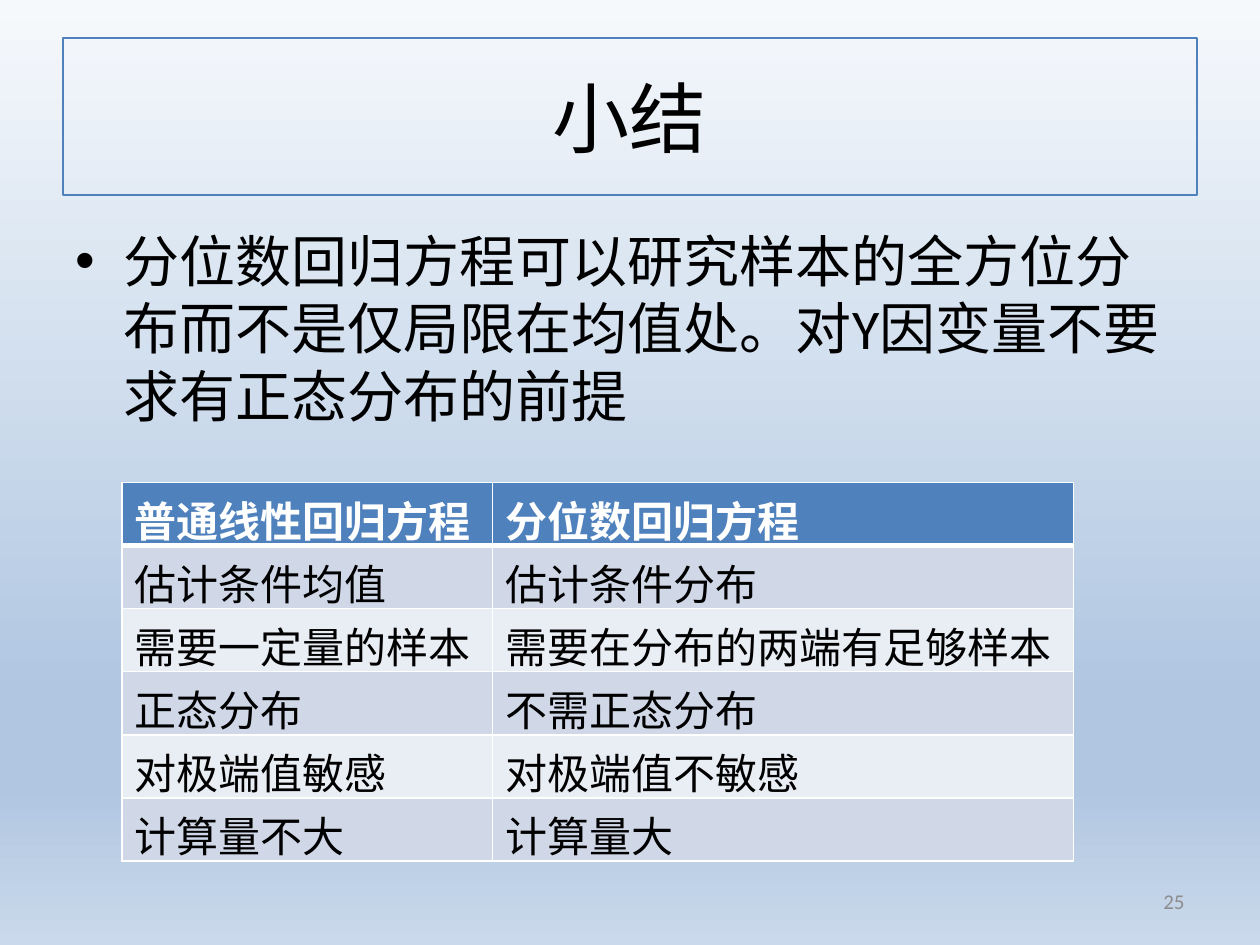
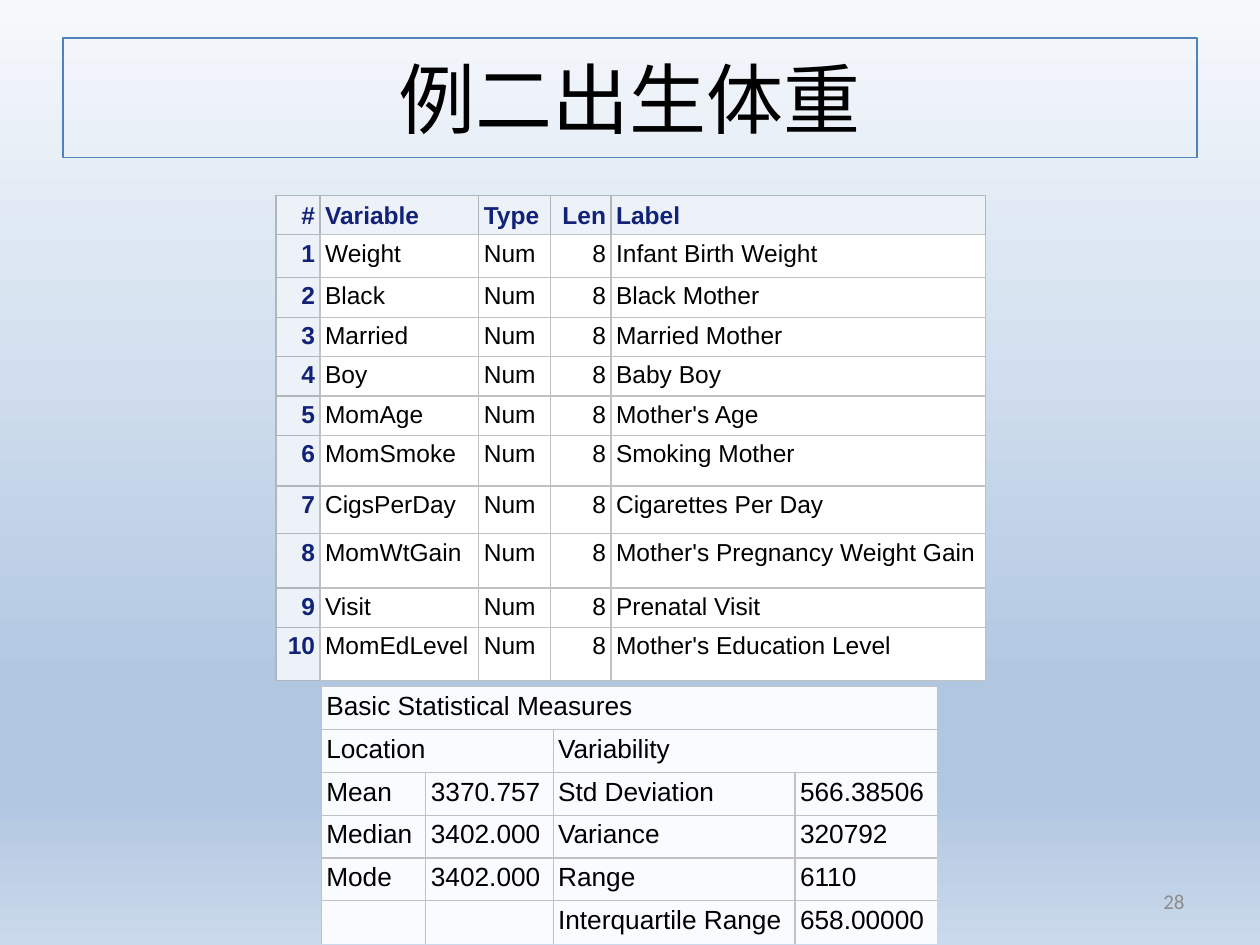
"""Build two slides on quantile regression: a summary and a birth-weight example."""
import dataclasses

import lxml.etree
import pptx
import pptx.dml.color
import pptx.enum.lang
import pptx.enum.shapes
import pptx.enum.text
import pptx.oxml.ns
import pptx.util

Inches = pptx.util.Inches
Pt = pptx.util.Pt
qn = pptx.oxml.ns.qn
ALIGN = pptx.enum.text.PP_ALIGN
ANCHOR = pptx.enum.text.MSO_ANCHOR
NO_TABLE_STYLE = "{2D5ABB26-0587-4C30-8999-92F81FD0307C}"


@dataclasses.dataclass(frozen=True)
class Theme:
    """Colours, fonts and type sizes of the deck."""
    backdrop: tuple = ((0, "F6F9FC"), (74, "B0C6E1"), (83, "B0C6E1"), (100, "CAD9EB"))
    accent: str = "4F81BD"
    ink: str = "000000"
    white: str = "FFFFFF"
    muted: str = "8C8C8C"
    bands: tuple = ("E9EDF4", "D0D8E8")
    head_ink: str = "112277"
    head_fill: str = "EDF2F9"
    head_rule: str = "B0B7BB"
    rule: str = "C1C1C1"
    measure_fill: str = "FAFBFE"
    main_font: str = "Calibri"
    data_font: str = "Arial"
    title_size: int = 44
    body_size: int = 32
    comparison_size: int = 24
    measure_size: int = 15
    variable_size: int = 14
    number_size: int = 12


THEME = Theme()

COMPARISON = [
    ("普通线性回归方程", "分位数回归方程"),
    ("估计条件均值", "估计条件分布"),
    ("需要一定量的样本", "需要在分布的两端有足够样本"),
    ("正态分布", "不需正态分布"),
    ("对极端值敏感", "对极端值不敏感"),
    ("计算量不大", "计算量大"),
]

VARIABLES = [
    ("Weight", "Infant Birth Weight"),
    ("Black", "Black Mother"),
    ("Married", "Married Mother"),
    ("Boy", "Baby Boy"),
    ("MomAge", "Mother's Age"),
    ("MomSmoke", "Smoking Mother"),
    ("CigsPerDay", "Cigarettes Per Day"),
    ("MomWtGain", "Mother's Pregnancy Weight Gain"),
    ("Visit", "Prenatal Visit"),
    ("MomEdLevel", "Mother's Education Level"),
]

MEASURES = [
    ("Basic Statistical Measures", None, None, None),
    ("Location", None, "Variability", None),
    ("Mean", "3370.757", "Std Deviation", "566.38506"),
    ("Median", "3402.000", "Variance", "320792"),
    ("Mode", "3402.000", "Range", "6110"),
    ("", "", "Interquartile Range", "658.00000"),
]


def rgb(code):
    """Turn a hex code into a colour."""
    return pptx.dml.color.RGBColor.from_string(code)


def write(frame, text, *, size, color=THEME.ink, font=THEME.main_font, bold=False,
          align=ALIGN.LEFT):
    """Write one formatted paragraph and return it."""
    paragraph = frame.paragraphs[0]
    paragraph.alignment = align
    if not text:
        lxml.etree.SubElement(paragraph._p, qn("a:endParaRPr"), sz=str(size * 100))
        return paragraph
    run = paragraph.add_run()
    run.text = text
    run.font.size = Pt(size)
    run.font.name = font
    run.font.bold = bold
    run.font.color.rgb = rgb(color)
    run.font.language_id = pptx.enum.lang.MSO_LANGUAGE_ID.SIMPLIFIED_CHINESE
    return paragraph


def paint_backdrop(master):
    """Give the master the vertical gradient that every slide shows."""
    fill = master.background.fill
    fill.gradient()
    fill.gradient_angle = 270
    stops = master.element.find(".//" + qn("p:bgPr")).find(".//" + qn("a:gsLst"))
    for stop in list(stops):
        stops.remove(stop)
    for position, color in THEME.backdrop:
        stop = lxml.etree.SubElement(stops, qn("a:gs"), pos=str(position * 1000))
        lxml.etree.SubElement(stop, qn("a:srgbClr"), val=color)


def add_title(slide, text, height):
    """Add the framed title across the top."""
    title = slide.shapes.add_shape(pptx.enum.shapes.MSO_SHAPE.RECTANGLE, Inches(0.5),
                                   Inches(0.3), Inches(9), Inches(height))
    title.shadow.inherit = False
    title.fill.background()
    title.line.color.rgb = rgb(THEME.accent)
    title.line.width = Pt(1)
    title.text_frame.word_wrap = True
    title.text_frame.vertical_anchor = ANCHOR.MIDDLE
    write(title.text_frame, text, size=THEME.title_size, align=ALIGN.CENTER)


def add_text_area(slide, left, top, width, height, anchor=ANCHOR.TOP):
    """Add an empty wrapping text box and return its frame."""
    frame = slide.shapes.add_textbox(Inches(left), Inches(top), Inches(width),
                                     Inches(height)).text_frame
    frame.word_wrap = True
    frame.vertical_anchor = anchor
    return frame


def add_bullet(slide, text):
    """Add the bulleted body statement."""
    frame = add_text_area(slide, 0.5, 1.75, 9, 4.95)
    paragraph = write(frame, text, size=THEME.body_size)
    paragraph.space_before = Pt(THEME.body_size * 0.2)
    properties = paragraph._p.get_or_add_pPr()
    indent = Inches(0.38)
    properties.set("marL", str(indent))
    properties.set("indent", str(-indent))
    lxml.etree.SubElement(properties, qn("a:buFont"), typeface="Arial")
    lxml.etree.SubElement(properties, qn("a:buChar"), char="•")


def add_slide_number(slide, number):
    """Add the page number at the lower right."""
    frame = add_text_area(slide, 7.17, 6.95, 2.33, 0.4, ANCHOR.MIDDLE)
    write(frame, str(number), size=THEME.number_size, color=THEME.muted, align=ALIGN.RIGHT)


def rule_cell(cell, borders):
    """Draw cell borders given as side: (colour, points)."""
    properties = cell._tc.get_or_add_tcPr()
    sides = [side for side in "LRTB" if side in borders]
    for place, side in enumerate(sides):
        color, width = borders[side]
        line = lxml.etree.Element(qn("a:ln" + side), w=str(Pt(width)))
        solid = lxml.etree.SubElement(line, qn("a:solidFill"))
        lxml.etree.SubElement(solid, qn("a:srgbClr"), val=color)
        properties.insert(place, line)


def add_grid(slide, left, top, widths, heights, rows, look, margin=None):
    """Add a table; None joins a cell to its left, look(row, column) gives the format."""
    table = slide.shapes.add_table(len(rows), len(widths), Inches(left), Inches(top),
                                   Inches(sum(widths)), Inches(sum(heights))).table
    table._tbl.tblPr.find(qn("a:tableStyleId")).text = NO_TABLE_STYLE
    for column, width in zip(table.columns, widths):
        column.width = Inches(width)
    for line, height in zip(table.rows, heights):
        line.height = Inches(height)
    for r, row in enumerate(rows):
        for c, text in enumerate(row):
            cell = table.cell(r, c)
            if text is None:
                continue
            end = c
            while end + 1 < len(row) and row[end + 1] is None:
                end += 1
            if end > c:
                cell.merge(table.cell(r, end))
            style = look(r, c, end)
            cell.fill.solid()
            cell.fill.fore_color.rgb = rgb(style["fill"])
            cell.vertical_anchor = style.get("anchor", ANCHOR.TOP)
            if margin is not None:
                cell.margin_left = cell.margin_right = Inches(margin)
                cell.margin_top = cell.margin_bottom = Inches(margin)
            rule_cell(cell, style["borders"])
            write(cell.text_frame, text, **style["text"])


def comparison_look(r, c, end):
    """Format the comparison: coloured header over banded rows."""
    header = r == 0
    borders = dict.fromkeys("LRTB", (THEME.white, 1))
    if header:
        borders["B"] = (THEME.white, 3)
    elif r == 1:
        borders["T"] = (THEME.white, 3)
    return {
        "fill": THEME.accent if header else THEME.bands[r % 2],
        "borders": borders,
        "text": {"size": THEME.comparison_size, "bold": header,
                 "color": THEME.white if header else THEME.ink},
    }


def measures_look(r, c, end):
    """Format the measures, leaving the right and bottom edges open."""
    sides = "LT" + ("R" if end < 3 else "") + ("B" if r < len(MEASURES) - 1 else "")
    return {
        "fill": THEME.measure_fill,
        "borders": dict.fromkeys(sides, (THEME.rule, 0.75)),
        "text": {"size": THEME.measure_size, "font": THEME.data_font},
    }


def variables_look(r, c, end):
    """Format the variable list with a header row and a header column."""
    heading = r == 0 or c == 0
    borders = dict.fromkeys("LRTB", (THEME.head_rule if heading else THEME.rule, 0.75))
    if heading and (r, c) != (0, 0):
        borders["B" if r == 0 else "R"] = (THEME.rule, 0.75)
    return {
        "fill": THEME.head_fill if heading else THEME.white,
        "borders": borders,
        "anchor": ANCHOR.BOTTOM if r == 0 else ANCHOR.TOP,
        "text": {"size": THEME.variable_size, "font": THEME.data_font, "bold": heading,
                 "color": THEME.head_ink if heading else THEME.ink,
                 "align": ALIGN.RIGHT if c in (0, 3) else ALIGN.LEFT},
    }


def build_summary(slide):
    """Build the summary slide."""
    add_title(slide, "小结", 1.25)
    add_bullet(slide, "分位数回归方程可以研究样本的全方位分布而不是仅局限在均值处。"
                      "对Y因变量不要求有正态分布的前提")
    add_slide_number(slide, 25)
    add_grid(slide, 0.97, 3.83, [2.94, 4.61], [0.41] * len(COMPARISON), COMPARISON,
             comparison_look)


def build_birth_weight(slide):
    """Build the birth-weight example slide."""
    add_title(slide, "例二出生体重", 0.95)
    add_grid(slide, 2.55, 5.45, [0.83, 1.01, 1.92, 1.13], [0.34] * len(MEASURES),
             MEASURES, measures_look, 0.04)
    add_slide_number(slide, 28)
    variables = [("#", "Variable", "Type", "Len", "Label")]
    variables += [(str(number), name, "Num", "8", label)
                  for number, (name, label) in enumerate(VARIABLES, 1)]
    tall_rows = {1: 0.34, 6: 0.4, 7: 0.38, 8: 0.43, 10: 0.42}
    heights = [tall_rows.get(r, 0.31) for r in range(len(variables))]
    add_grid(slide, 2.19, 1.55, [0.35, 1.26, 0.57, 0.48, 2.97], heights, variables,
             variables_look, 0.04)


def main():
    """Build and save the deck."""
    deck = pptx.Presentation()
    deck.slide_width, deck.slide_height = Inches(10), Inches(7.5)
    paint_backdrop(deck.slide_master)
    blank = deck.slide_layouts[6]
    for build in (build_summary, build_birth_weight):
        build(deck.slides.add_slide(blank))
    deck.save("out.pptx")


if __name__ == "__main__":
    main()
